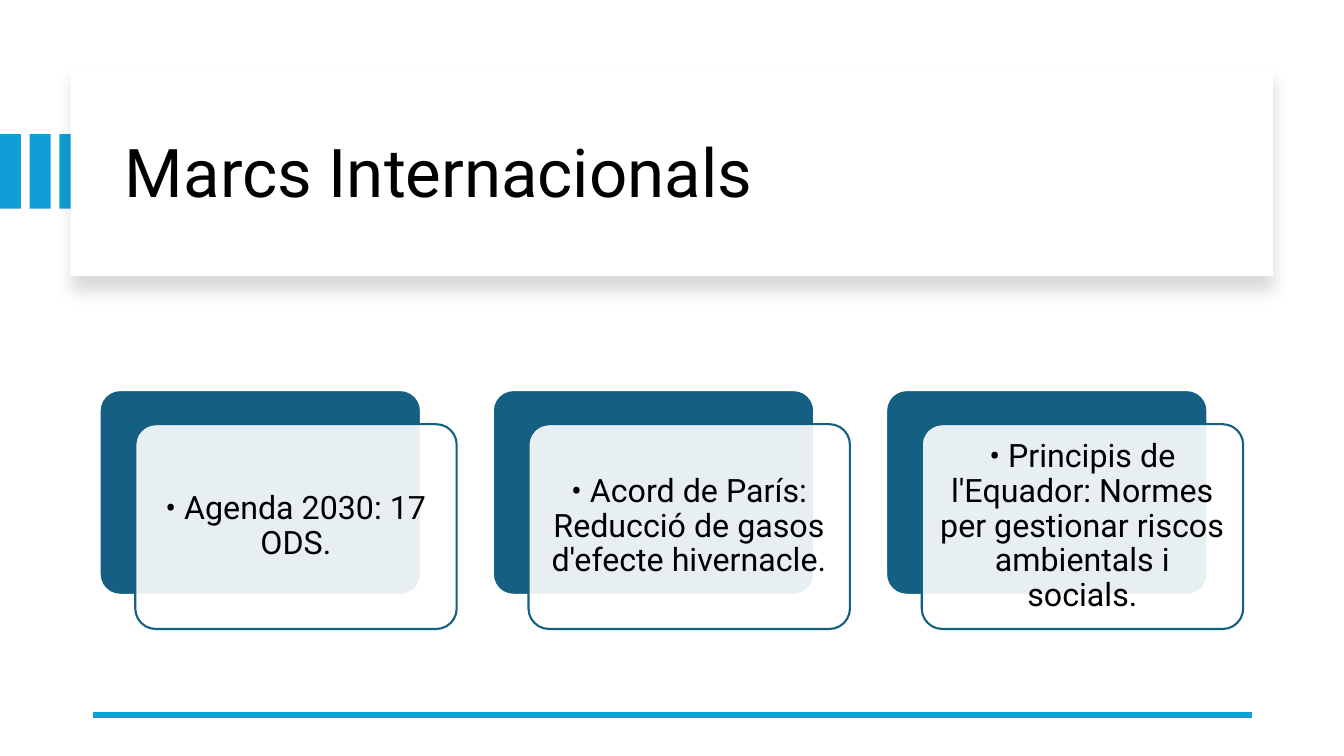
from lxml.etree import SubElement
from pptx import Presentation
from pptx.dml.color import RGBColor
from pptx.enum.shapes import MSO_CONNECTOR, MSO_SHAPE
from pptx.enum.text import MSO_ANCHOR, PP_ALIGN
from pptx.oxml import parse_xml
from pptx.oxml.ns import nsdecls, qn
from pptx.util import Cm, Pt

WHITE = RGBColor(0xFF, 0xFF, 0xFF)
BLACK = RGBColor(0x00, 0x00, 0x00)
SKY = RGBColor(0x0F, 0x9E, 0xD5)
TEAL = RGBColor(0x15, 0x60, 0x82)
FONT = "Roboto"

FRAMEWORKS = [
    "• Agenda 2030: 17 ODS.",
    "• Acord de París: Reducció de gasos d'efecte hivernacle.",
    "• Principis de l'Equador: Normes per gestionar riscos ambientals i socials.",
]


def write(s, text, size=23, align=PP_ALIGN.CENTER, inset=0.25):
    tf = s.text_frame
    tf.word_wrap = True
    tf.vertical_anchor = MSO_ANCHOR.MIDDLE
    tf.margin_left = tf.margin_right = Cm(inset)
    tf.margin_top = tf.margin_bottom = Cm(inset)
    p = tf.paragraphs[0]
    p.alignment = align
    p.line_spacing = 0.9
    r = p.add_run()
    r.text = text
    r.font.name = FONT
    r.font.size = Pt(size)
    r.font.color.rgb = BLACK


def add_box(slide, x, y, w, h, fill, line=None, kind=MSO_SHAPE.RECTANGLE):
    s = slide.shapes.add_shape(kind, Cm(x), Cm(y), Cm(w), Cm(h))
    s.shadow.inherit = False
    s.fill.solid()
    s.fill.fore_color.rgb = fill
    if line is None:
        s.line.fill.background()
    else:
        s.line.color.rgb = line
        s.line.width = Pt(1.5)
    if kind == MSO_SHAPE.ROUNDED_RECTANGLE:
        s.adjustments[0] = 0.1
    return s


def set_opacity(s, percent):
    color = s.fill._xPr.find(qn("a:solidFill"))[0]
    SubElement(color, qn("a:alpha"), val=str(percent * 1000))


def add_soft_shadow(s):
    effects = s._element.spPr.find(qn("a:effectLst"))
    effects.append(parse_xml(
        f'<a:outerShdw {nsdecls("a")} blurRad="{Pt(11)}" dist="{Pt(10)}" '
        'dir="5400000" algn="t" rotWithShape="0">'
        '<a:srgbClr val="000000"><a:alpha val="15000"/></a:srgbClr></a:outerShdw>'))


def add_header(slide, title):
    for i in range(3):
        add_box(slide, 0.75 * i, 3.38, 0.53, 1.88, SKY)
    add_soft_shadow(add_box(slide, 1.78, 1.7, 30.3, 5.26, WHITE))
    s = slide.shapes.add_textbox(Cm(2.9), Cm(2.26), Cm(28.27), Cm(4.32))
    write(s, title, size=48, align=PP_ALIGN.LEFT)


def add_rule(slide):
    s = slide.shapes.add_connector(
        MSO_CONNECTOR.STRAIGHT, Cm(31.55), Cm(18.01), Cm(2.34), Cm(18.01))
    s.line.color.rgb = SKY
    s.line.width = Pt(4.5)
    SubElement(s._element.spPr, qn("a:effectLst"))


def add_card(slide, x, y, text):
    w, h = 8.1, 5.16
    rounded = MSO_SHAPE.ROUNDED_RECTANGLE
    add_box(slide, x, y, w, h, TEAL, WHITE, rounded)
    s = add_box(slide, x + 0.9, y + 0.86, w, h, WHITE, TEAL, rounded)
    set_opacity(s, 90)
    write(s, text)


def main():
    prs = Presentation()
    prs.slide_width = Cm(33.87)
    prs.slide_height = Cm(19.05)
    slide = prs.slides.add_slide(prs.slide_layouts[6])
    add_header(slide, "Marcs Internacionals")
    add_rule(slide)
    for i, text in enumerate(FRAMEWORKS):
        add_card(slide, 2.51 + 9.91 * i, 9.83, text)
    prs.save("out.pptx")


if __name__ == "__main__":
    main()
